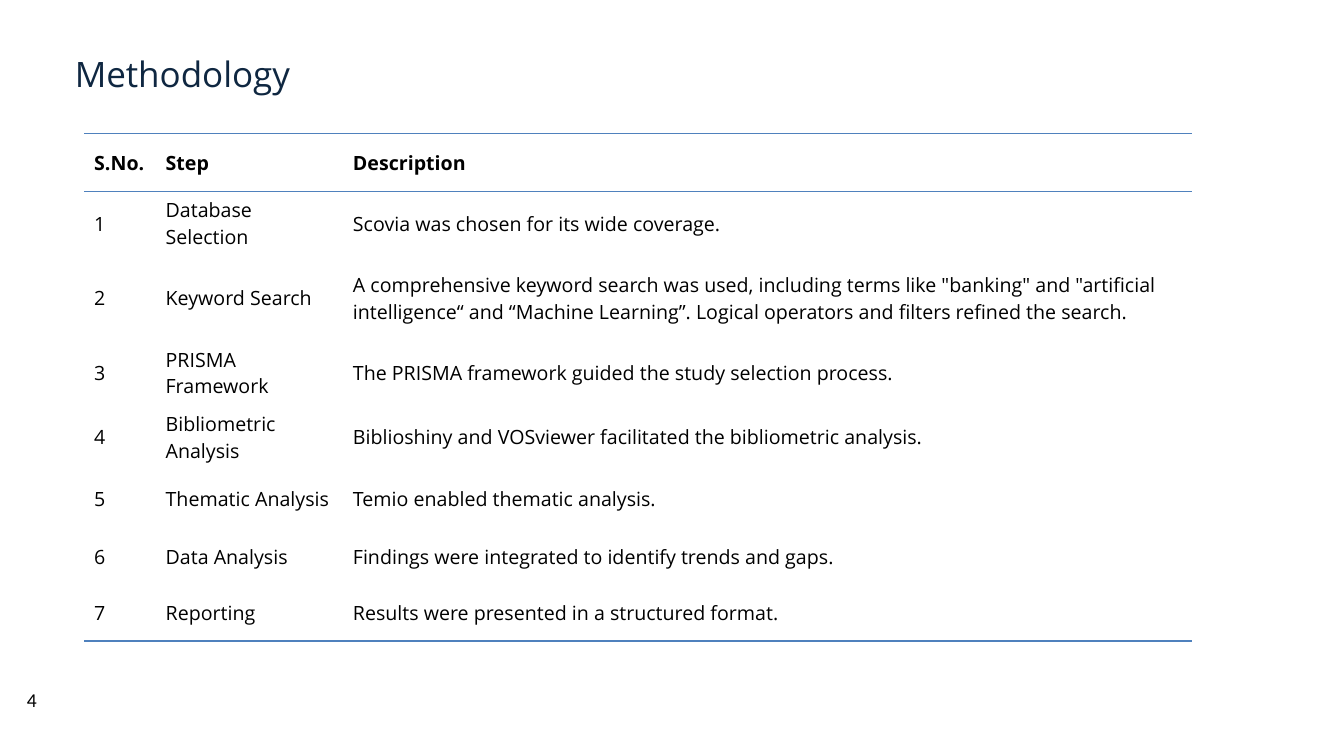
from dataclasses import dataclass

import pptx
import pptx.dml.color
import pptx.enum.text
import pptx.oxml
import pptx.oxml.ns
import pptx.util
from pptx.util import Cm


@dataclass(frozen=True)
class Theme:
    title_color: str = "0F2741"
    text_color: str = "000000"
    rule_color: str = "4F81BD"
    main_font: str = "Open Sans"
    number_font: str = "Calibri"
    title_size: int = 25
    text_size: int = 14
    rule_width: int = 1


@dataclass(frozen=True)
class Box:
    left: float
    top: float
    width: float
    height: float

    def lengths(self):
        return Cm(self.left), Cm(self.top), Cm(self.width), Cm(self.height)


THEME = Theme()
NO_TABLE_STYLE = "{2D5ABB26-0587-4C30-8999-92F81FD0307C}"
COLUMN_WIDTHS = (1.8, 4.72, 21.41)
ROW_HEIGHTS = (1.47, 1.47, 2.16, 1.47, 1.65, 1.47, 1.42, 1.42)
HEADINGS = ("S.No.", "Step", "Description")
STEPS = (
    ("Database Selection", "Scovia was chosen for its wide coverage."),
    ("Keyword Search",
     'A comprehensive keyword search was used, including terms like "banking" and '
     '"artificial intelligence“ and “Machine Learning”. '
     "Logical operators and filters refined the search."),
    ("PRISMA Framework", "The PRISMA framework guided the study selection process."),
    ("Bibliometric Analysis",
     "Biblioshiny and VOSviewer facilitated the bibliometric analysis."),
    ("Thematic Analysis", "Temio enabled thematic analysis."),
    ("Data Analysis", "Findings were integrated to identify trends and gaps."),
    ("Reporting", "Results were presented in a structured format."),
)


def write_text(text_frame, text, size=THEME.text_size, font_name=THEME.main_font,
               color=THEME.text_color, bold=False):
    text_frame.text = text
    paragraph = text_frame.paragraphs[0]
    paragraph.alignment = pptx.enum.text.PP_ALIGN.LEFT
    font = paragraph.runs[0].font
    font.size = pptx.util.Pt(size)
    font.name = font_name
    font.bold = bold
    font.color.rgb = pptx.dml.color.RGBColor.from_string(color)


def rule_cell(cell, sides):
    """Draw the named sides of a cell, T before B as the schema asks."""
    properties = cell._tc.get_or_add_tcPr()
    for side in sides:
        properties.append(pptx.oxml.parse_xml(
            f'<a:ln{side} {pptx.oxml.ns.nsdecls("a")} w="{pptx.util.Pt(THEME.rule_width)}">'
            f'<a:solidFill><a:srgbClr val="{THEME.rule_color}"/></a:solidFill>'
            f'</a:ln{side}>'))


def add_title(slide, box, text):
    title = slide.shapes.title
    title.left, title.top, title.width, title.height = box.lengths()
    text_frame = title.text_frame
    text_frame.vertical_anchor = pptx.enum.text.MSO_ANCHOR.TOP
    text_frame.auto_size = pptx.enum.text.MSO_AUTO_SIZE.NONE
    write_text(text_frame, text, THEME.title_size, color=THEME.title_color)


def add_steps_table(slide, box):
    rows = [HEADINGS]
    rows += [(str(number), *step) for number, step in enumerate(STEPS, 1)]
    frame = slide.shapes.add_table(len(rows), len(HEADINGS), *box.lengths())
    table = frame.table
    table.horz_banding = False
    style = next(frame.element.iter(pptx.oxml.ns.qn("a:tableStyleId")))
    style.text = NO_TABLE_STYLE
    for column, width in zip(table.columns, COLUMN_WIDTHS):
        column.width = Cm(width)
    rules = {0: "TB", len(rows) - 1: "B"}
    for row_index, (texts, height) in enumerate(zip(rows, ROW_HEIGHTS)):
        table.rows[row_index].height = Cm(height)
        for column_index, text in enumerate(texts):
            cell = table.cell(row_index, column_index)
            cell.vertical_anchor = pptx.enum.text.MSO_ANCHOR.MIDDLE
            write_text(cell.text_frame, text, bold=row_index == 0)
            rule_cell(cell, rules.get(row_index, ""))
            cell.fill.background()


def add_page_number(slide, box, number):
    text_frame = slide.shapes.add_textbox(*box.lengths()).text_frame
    text_frame.word_wrap = True
    text_frame.vertical_anchor = pptx.enum.text.MSO_ANCHOR.MIDDLE
    write_text(text_frame, str(number), font_name=THEME.number_font)


def main():
    presentation = pptx.Presentation()
    presentation.slide_width = Cm(33.87)
    presentation.slide_height = Cm(19.05)
    title_only = presentation.slide_layouts[5]
    slide = presentation.slides.add_slide(title_only)
    add_title(slide, Box(1.63, 1.2, 31.1, 2.2), "Methodology")
    add_steps_table(slide, Box(2.12, 3.36, sum(COLUMN_WIDTHS), sum(ROW_HEIGHTS)))
    add_page_number(slide, Box(0.43, 17.15, 1.27, 0.94), 4)
    presentation.save("out.pptx")


if __name__ == "__main__":
    main()
